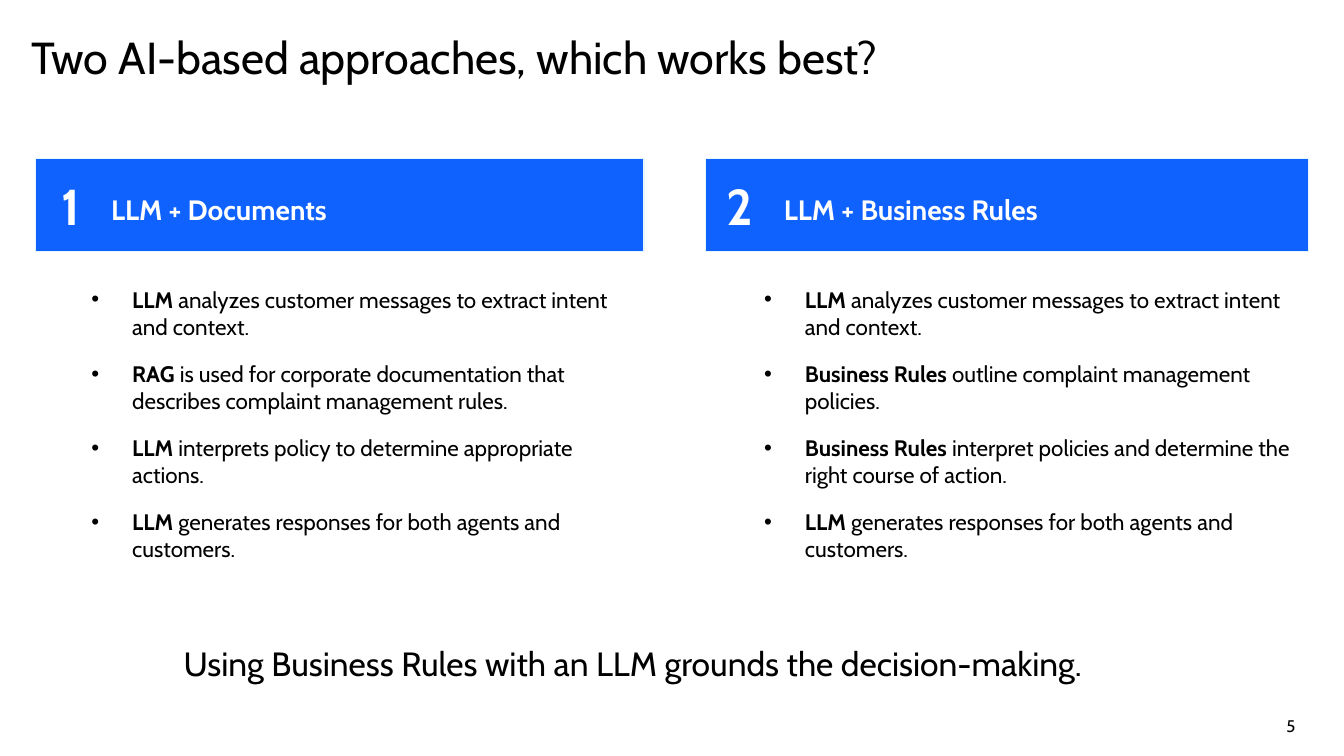
from dataclasses import dataclass

from lxml import etree
from pptx import Presentation
from pptx.dml.color import RGBColor
from pptx.enum import shapes, text
from pptx.oxml import ns
from pptx.util import Cm, Pt


@dataclass(frozen=True)
class Theme:
    font: str = "Cabin"
    black: str = "000000"
    white: str = "FFFFFF"
    blue: str = "0F62FE"
    pale_blue: str = "E5F6FF"
    title: int = 64
    badge: int = 72
    takeaway: int = 48
    heading: int = 40
    body: int = 32
    page_number: int = 24


@dataclass(frozen=True)
class Approach:
    number: str
    heading: str
    steps: tuple
    bar_left: float
    bar_width: float
    text_left: float


THEME = Theme()
TWO_CONTENT = 3
BAR_TOP, BAR_HEIGHT = 7.98, 4.72

INTENT = ("LLM", " analyzes customer messages to extract intent and context.")
RESPONSES = ("LLM", " generates responses for both agents and customers.")

APPROACHES = (
    Approach("1", "LLM + Documents", (
        INTENT,
        ("RAG", " is used for corporate documentation that describes "
                "complaint management rules."),
        ("LLM", " interprets policy to determine appropriate actions."),
        RESPONSES,
    ), 1.8, 30.66, 4.6),
    Approach("2", "LLM + Business Rules", (
        INTENT,
        ("Business Rules ", "outline complaint management policies."),
        ("Business Rules ", "interpret policies and determine the right "
                            "course of action."),
        RESPONSES,
    ), 35.56, 30.38, 38.51),
)


def add_span(para, words, size, color=THEME.black, bold=False):
    span = para.add_run()
    span.text = words
    span.font.name = THEME.font
    span.font.size = Pt(size)
    span.font.bold = bold
    span.font.color.rgb = RGBColor.from_string(color)


def place(box, left, top, width, height):
    box.left, box.top = Cm(left), Cm(top)
    box.width, box.height = Cm(width), Cm(height)


def prepare_frame(box, anchor=text.MSO_ANCHOR.TOP, inset_x=0, inset_y=0):
    frame = box.text_frame
    frame.word_wrap = True
    frame.auto_size = text.MSO_AUTO_SIZE.NONE
    frame.vertical_anchor = anchor
    frame.margin_left = frame.margin_right = Cm(inset_x)
    frame.margin_top = frame.margin_bottom = Cm(inset_y)
    return frame


def add_label(page, words, place_at, size, color=THEME.black, bold=False,
              align=text.PP_ALIGN.LEFT, **frame_options):
    box = page.shapes.add_textbox(*(Cm(length) for length in place_at))
    para = prepare_frame(box, **frame_options).paragraphs[0]
    para.alignment = align
    add_span(para, words, size, color, bold)


def add_bullet(para):
    properties = para._p.get_or_add_pPr()
    properties.set("marL", str(Cm(2.06)))
    properties.set("indent", str(Cm(-2.06)))
    color = etree.SubElement(properties, ns.qn("a:buClr"))
    etree.SubElement(color, ns.qn("a:srgbClr"), val=THEME.black)
    etree.SubElement(properties, ns.qn("a:buFont"), typeface="Arial")
    etree.SubElement(properties, ns.qn("a:buChar"), char="•")


def set_title(page, words):
    title = page.shapes.title
    place(title, 1.57, 1.5, 61.57, 5.82)
    para = prepare_frame(title).paragraphs[0]
    para.alignment = text.PP_ALIGN.LEFT
    add_span(para, words, THEME.title)


def add_bar(page, approach):
    bar = page.shapes.add_shape(
        shapes.MSO_SHAPE.RECTANGLE, Cm(approach.bar_left), Cm(BAR_TOP),
        Cm(approach.bar_width), Cm(BAR_HEIGHT))
    bar.shadow.inherit = False
    bar.fill.solid()
    bar.fill.fore_color.rgb = RGBColor.from_string(THEME.blue)
    bar.line.color.rgb = RGBColor.from_string(THEME.pale_blue)
    bar.line.width = Pt(1.5)


def fill_steps(box, approach):
    place(box, approach.text_left, 14.4, 26.87, 17.5)
    frame = prepare_frame(box)
    for index, (actor, action) in enumerate(approach.steps):
        para = frame.add_paragraph() if index else frame.paragraphs[0]
        add_bullet(para)
        para.space_before = Pt(29 if index else 0)
        add_span(para, actor, THEME.body, bold=True)
        add_span(para, action, THEME.body)


def add_approach(page, approach, body):
    add_bar(page, approach)
    add_label(page, approach.number,
              (approach.bar_left, BAR_TOP, 3.5, BAR_HEIGHT),
              THEME.badge, THEME.white, bold=True,
              align=text.PP_ALIGN.CENTER, anchor=text.MSO_ANCHOR.MIDDLE)
    add_label(page, approach.heading,
              (approach.text_left + 1, 9.68, 22.6, 2.2),
              THEME.heading, THEME.white, bold=True)
    fill_steps(body, approach)


def main():
    deck = Presentation()
    deck.slide_width, deck.slide_height = Cm(67.74), Cm(38.1)
    page = deck.slides.add_slide(deck.slide_layouts[TWO_CONTENT])

    set_title(page, "Two AI-based approaches, which works best?")
    bodies = (page.placeholders[1], page.placeholders[2])
    for approach, body in zip(APPROACHES, bodies):
        add_approach(page, approach, body)
    add_label(page,
              "Using Business Rules with an LLM grounds the decision-making.",
              (9.25, 32.41, 49.23, 4.45), THEME.takeaway)
    add_label(page, "5", (64.59, 35.94, 1.55, 0.91), THEME.page_number,
              inset_x=0.25, inset_y=0.13)
    deck.save("out.pptx")


if __name__ == "__main__":
    main()
